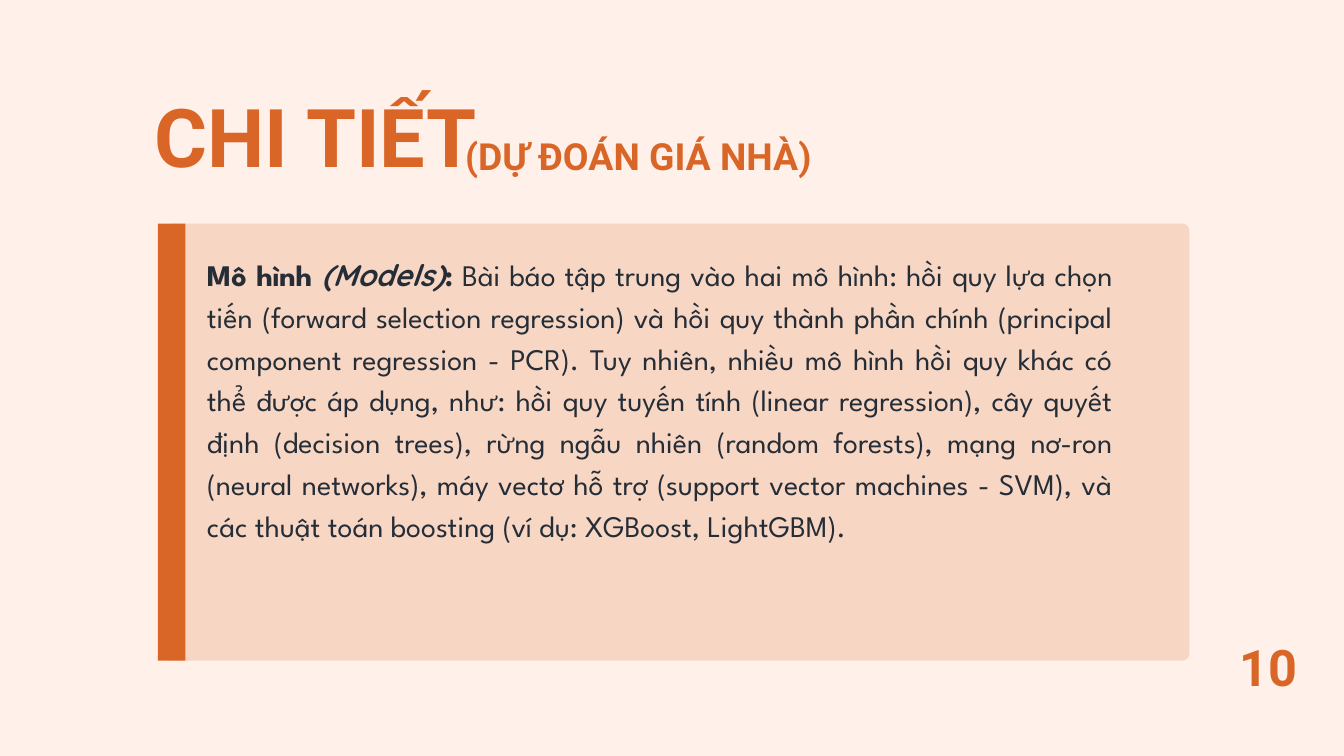
"""Build the slide on models for house price prediction."""
from dataclasses import dataclass

from lxml.etree import SubElement
from pptx import Presentation
from pptx.dml.color import RGBColor
from pptx.enum.shapes import MSO_SHAPE as Preset
from pptx.enum.text import MSO_ANCHOR as Anchor, MSO_AUTO_SIZE as AutoSize, PP_ALIGN as Align
from pptx.oxml.ns import qn
from pptx.shapes.autoshape import Shape
from pptx.slide import Slide
from pptx.util import Inches, Pt

ORANGE = RGBColor(0xD9, 0x66, 0x27)
CREAM = RGBColor(0xFF, 0xF0, 0xE9)
INK = RGBColor(0x25, 0x2D, 0x37)


@dataclass(frozen=True)
class Box:
    left: float
    top: float
    width: float
    height: float

    def lengths(self) -> list[Inches]:
        return [Inches(n) for n in (self.left, self.top, self.width, self.height)]


@dataclass(frozen=True)
class Phrase:
    text: str
    font: str = "Roboto"
    bold: bool = True
    italic: bool = False


@dataclass(frozen=True)
class TextStyle:
    size: float
    leading: float
    color: RGBColor = ORANGE
    align: Align = Align.LEFT


def add_block(slide: Slide, preset: Preset, box: Box) -> Shape:
    block = slide.shapes.add_shape(preset, *box.lengths())
    block.shadow.inherit = False
    block.fill.solid()
    block.fill.fore_color.rgb = ORANGE
    block.line.fill.background()
    return block


def write(holder: Shape, box: Box, style: TextStyle, phrases: list[Phrase]) -> None:
    holder.left, holder.top, holder.width, holder.height = box.lengths()
    frame = holder.text_frame
    frame.word_wrap = True
    frame.auto_size = AutoSize.NONE
    frame.vertical_anchor = Anchor.TOP
    frame.margin_left = frame.margin_top = frame.margin_right = frame.margin_bottom = 0
    paragraph = frame.paragraphs[0]
    paragraph.alignment = style.align
    paragraph.line_spacing = Pt(style.leading)
    paragraph.space_before = Pt(0)
    for phrase in phrases:
        run = paragraph.add_run()
        run.text = phrase.text
        run.font.name = phrase.font
        run.font.size = Pt(style.size)
        run.font.bold = phrase.bold
        run.font.italic = phrase.italic
        run.font.color.rgb = style.color


def remove_bullet(holder: Shape) -> None:
    properties = holder.text_frame.paragraphs[0]._p.get_or_add_pPr()
    properties.set("marL", "0")
    properties.set("indent", "0")
    SubElement(properties, qn("a:buNone"))


def main() -> None:
    deck = Presentation()
    deck.slide_width, deck.slide_height = Inches(20), Inches(11.25)
    slide = deck.slides.add_slide(deck.slide_layouts[1])
    slide.background.fill.solid()
    slide.background.fill.fore_color.rgb = CREAM

    title, models = slide.shapes.title, slide.placeholders[1]
    write(title, Box(2.3, 1.77, 5.1, 1.09), TextStyle(86.8, 69.5), [Phrase("CHI TIẾT")])

    panel = add_block(slide, Preset.ROUNDED_RECTANGLE, Box(2.46, 3.33, 15.24, 6.5))
    panel.adjustments[0] = 0.1 / 6.5
    tint = panel.fill._xPr.find(qn("a:solidFill"))[0]
    SubElement(tint, qn("a:alpha"), val="19000")
    add_block(slide, Preset.RECTANGLE, Box(2.35, 3.33, 0.41, 6.5))

    slide.shapes._spTree.append(models._element)
    remove_bullet(models)
    write(models, Box(3.08, 3.73, 13.49, 5.5), TextStyle(32, 44.8, INK, Align.JUSTIFY), [
        Phrase("Mô hình ", "League Spartan"),
        Phrase("(Models)", "Quicksand", italic=True),
        Phrase(":", "League Spartan"),
        Phrase(
            " Bài báo tập trung vào hai mô hình: hồi quy lựa chọn tiến (forward selection "
            "regression) và hồi quy thành phần chính (principal component regression - PCR). "
            "Tuy nhiên, nhiều mô hình hồi quy khác có thể được áp dụng, như: hồi quy tuyến tính "
            "(linear regression), cây quyết định (decision trees), rừng ngẫu nhiên (random "
            "forests), mạng nơ-ron (neural networks), máy vectơ hỗ trợ (support vector machines "
            "- SVM), và các thuật toán boosting (ví dụ: XGBoost, LightGBM).",
            "League Spartan", bold=False),
    ])

    number_box, topic_box = Box(18.29, 9.77, 1.16, 0.69), Box(6.92, 2.2, 5.77, 0.5)
    page_number = slide.shapes.add_textbox(*number_box.lengths())
    write(page_number, number_box, TextStyle(54, 43.2, align=Align.CENTER), [Phrase("10")])
    topic = slide.shapes.add_textbox(*topic_box.lengths())
    write(topic, topic_box, TextStyle(40, 32), [Phrase("(DỰ ĐOÁN GIÁ NHÀ)")])

    deck.save("out.pptx")


if __name__ == "__main__":
    main()
